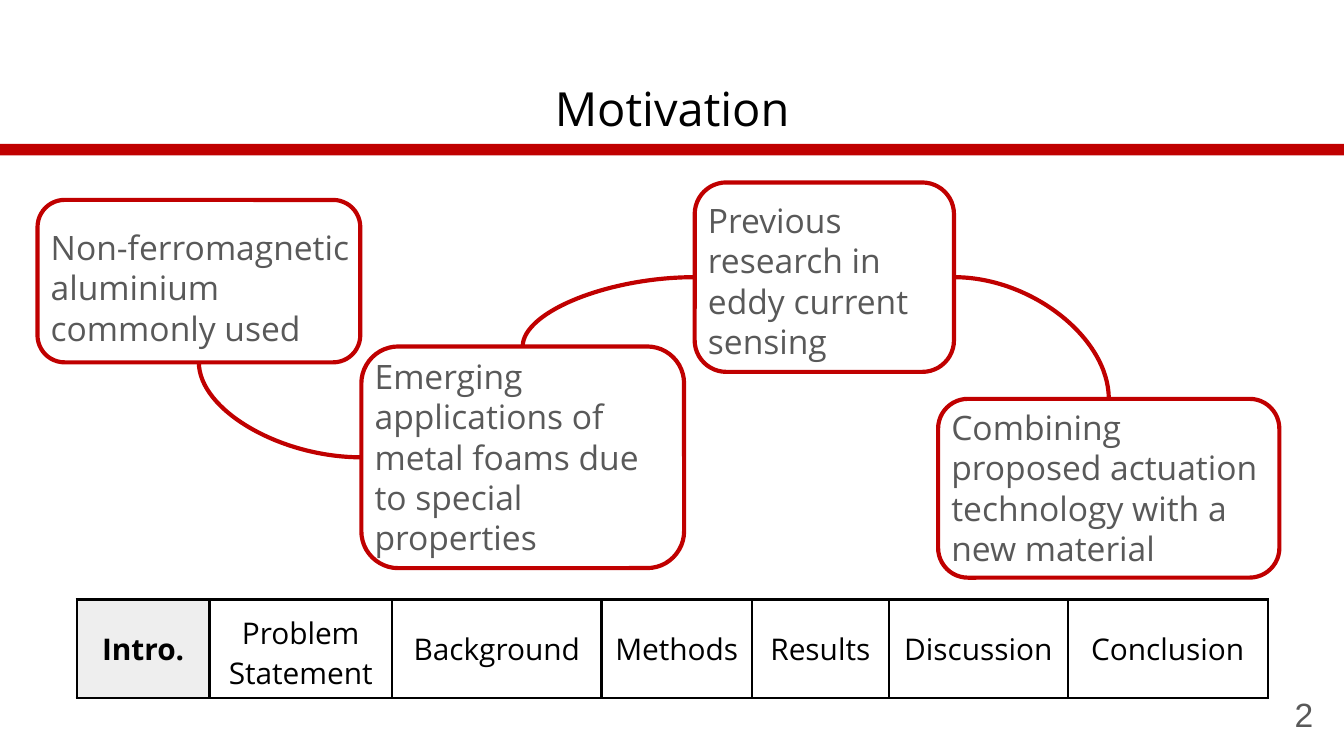
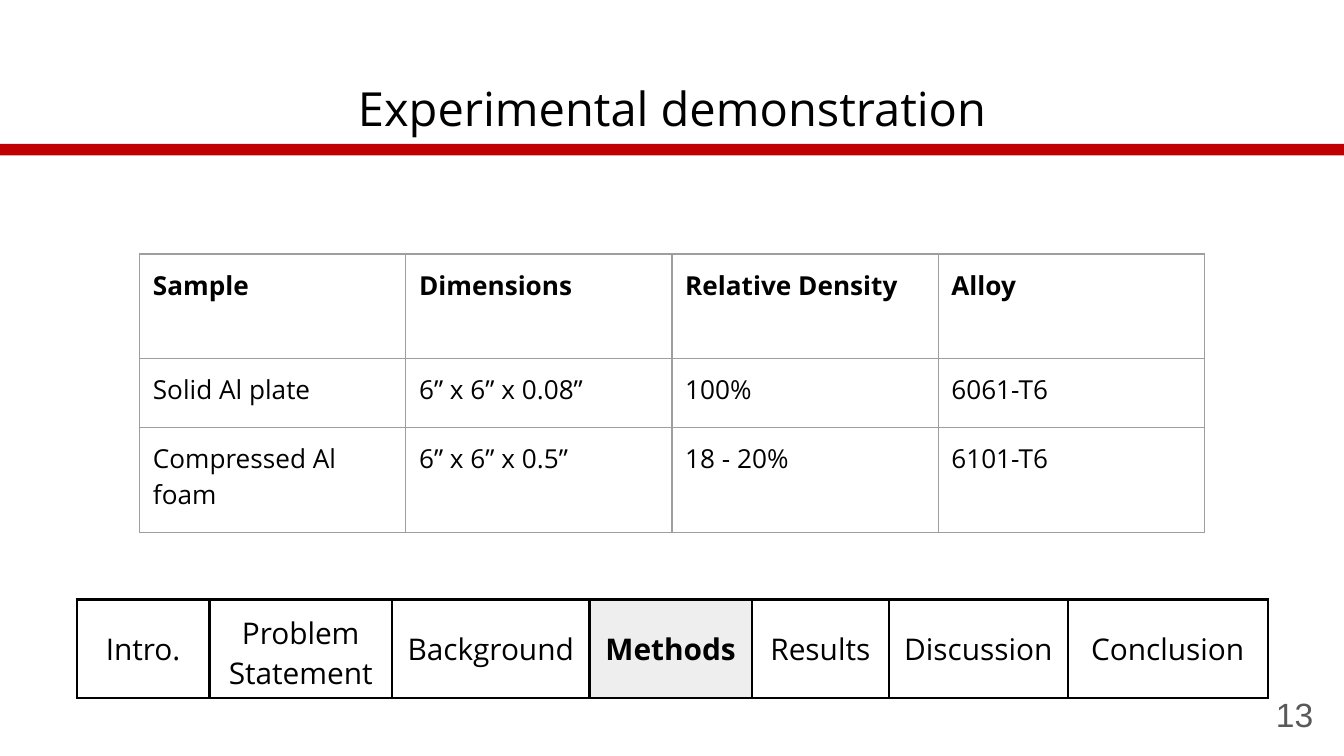
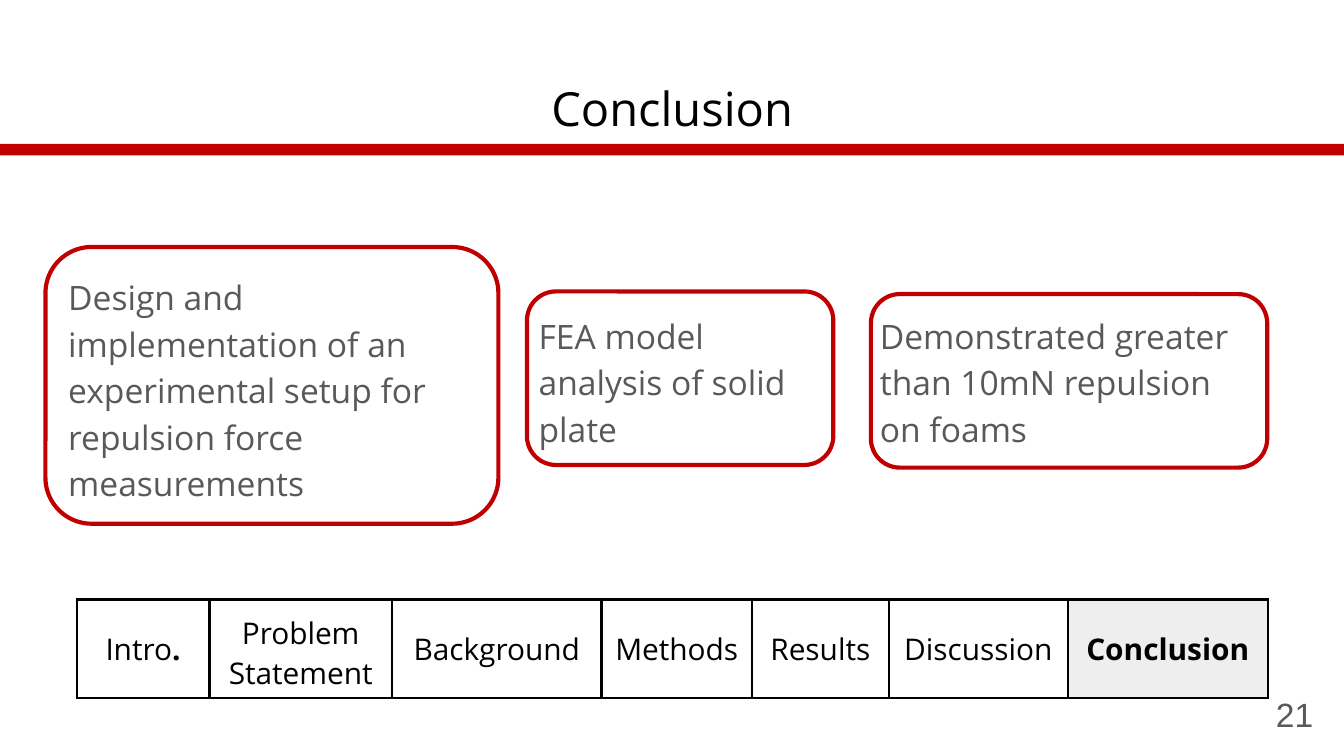
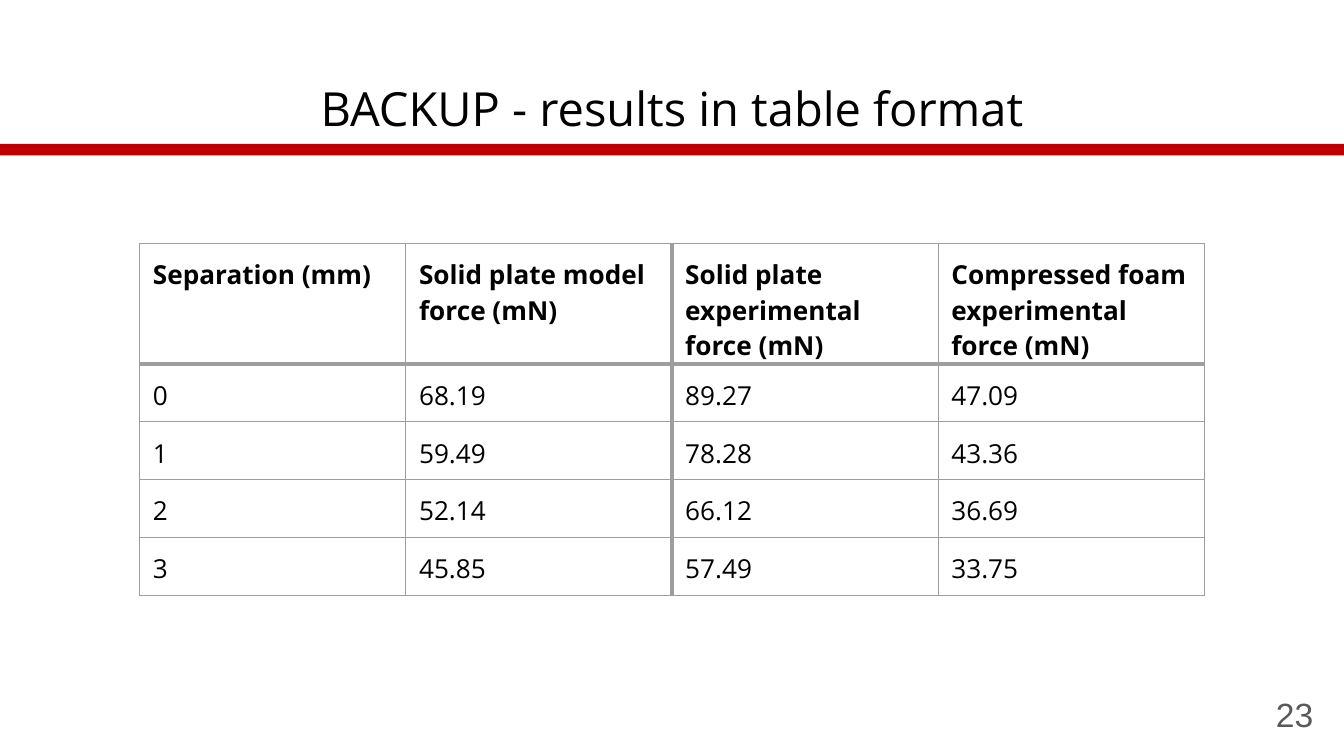
from lxml.etree import SubElement
from pptx import Presentation
from pptx.dml.color import RGBColor
from pptx.enum.shapes import MSO_CONNECTOR, MSO_SHAPE
from pptx.enum.text import MSO_ANCHOR as Anchor, MSO_AUTO_SIZE as AutoSize, PP_ALIGN as Align
from pptx.oxml.ns import qn
from pptx.util import Cm, Pt

RED = RGBColor(0xC0, 0x00, 0x00)
BLACK = RGBColor(0x00, 0x00, 0x00)
GRAY = RGBColor(0x59, 0x59, 0x59)
RULE_GRAY = RGBColor(0x9E, 0x9E, 0x9E)
HIGHLIGHT = RGBColor(0xEE, 0xEE, 0xEE)
BODY_FONT = "Open Sans"
NUMBER_FONT = "Arial"
BOLD_MARK = "**"
INSET = Cm(0.25)

SLIDE_SIZE = (25.4, 14.29)
TITLE_BOX = (0.87, 1.24, 23.67, 1.6)
NUMBER_BOX = (23.55, 12.95, 1.52, 1.09)
BAND_BOX = (0, 2.72, 25.4, 0.22)

SECTIONS = ["Intro.", "Problem Statement", "Background", "Methods", "Results", "Discussion", "Conclusion"]
SECTION_WIDTHS = [2.51, 3.45, 3.96, 2.84, 2.59, 3.38, 3.78]
METHODS_WIDTHS = [2.51, 3.45, 3.73, 3.07, 2.59, 3.38, 3.78]
NAVIGATION_BOX = (1.45, 11.33, 22.51, 1.86)

MOTIVATION_CARDS = [
    ("Non-ferromagnetic aluminium commonly used", (0.71, 4.04, 6.68, 2.82), (0.71, 3.78, 6.1, 3.07)),
    ("Emerging applications of metal foams due to special properties",
     (6.83, 6.48, 6.1, 4.37), (6.83, 6.55, 6.1, 4.19)),
    ("Previous research in eddy current sensing", (13.13, 3.53, 5.18, 3.58), (13.13, 3.45, 4.9, 3.58)),
    ("Combining proposed actuation technology with a new material",
     (17.73, 7.44, 6.45, 3.58), (17.73, 7.54, 6.45, 3.38)),
]
TOP, LEFT, BOTTOM, RIGHT = range(4)
MOTIVATION_LINKS = [(1, LEFT, 0, BOTTOM), (2, LEFT, 1, TOP), (2, RIGHT, 3, TOP)]

CONCLUSION_CARDS = [
    ("Design and implementation of an experimental setup for repulsion force measurements",
     (1.04, 4.88, 8.43, 4.83), (0.86, 4.67, 8.56, 5.23)),
    ("FEA model analysis of solid plate", (9.93, 5.61, 5.51, 3.05), (9.96, 5.51, 5.79, 3.28)),
    ("Demonstrated greater than 10mN repulsion on foams",
     (16.38, 5.61, 7.57, 3.05), (16.46, 5.56, 7.49, 3.28)),
]

SAMPLES = [
    ["Sample", "Dimensions", "Relative Density", "Alloy"],
    ["Solid Al plate", "6” x 6” x 0.08”", "100%", "6061-T6"],
    ["Compressed Al foam", "6” x 6” x 0.5”", "18 - 20%", "6101-T6"],
]
SAMPLES_BOX = (2.64, 4.8, 20.12, 5.24)
SAMPLES_HEIGHTS = [1.98, 1.3, 1.98]

FORCES = [
    ["Separation (mm)", "Solid plate model force (mN)",
     "Solid plate experimental force (mN)", "Compressed foam experimental force (mN)"],
    ["0", "68.19", "89.27", "47.09"],
    ["1", "59.49", "78.28", "43.36"],
    ["2", "52.14", "66.12", "36.69"],
    ["3", "45.85", "57.49", "33.75"],
]
FORCES_BOX = (2.64, 4.6, 20.12, 6.68)
FORCES_HEIGHTS = [1.07] * len(FORCES)


def lengths(box):
    return [Cm(value) for value in box]


def bold(text):
    return BOLD_MARK + text + BOLD_MARK


def write(text_frame, text, size, color=BLACK, font=BODY_FONT, align=Align.LEFT):
    paragraph = text_frame.paragraphs[0]
    paragraph.alignment = align
    for index, part in enumerate(text.split(BOLD_MARK)):
        if part:
            run = paragraph.add_run()
            run.text = part
            run.font.size = Pt(size)
            run.font.name = font
            run.font.color.rgb = color
            run.font.bold = index % 2 == 1
    return paragraph


def add_text(slide, box, text, size, anchor=Anchor.TOP, **style):
    text_frame = slide.shapes.add_textbox(*lengths(box)).text_frame
    text_frame.word_wrap = True
    text_frame.vertical_anchor = anchor
    text_frame.margin_left = text_frame.margin_right = INSET
    text_frame.margin_top = text_frame.margin_bottom = INSET
    return text_frame, write(text_frame, text, size, **style)


def add_slide(presentation, title, number):
    slide = presentation.slides.add_slide(presentation.slide_layouts[6])
    add_text(slide, TITLE_BOX, title, 25.2, Anchor.MIDDLE, align=Align.CENTER)
    add_text(slide, NUMBER_BOX, str(number), 18, Anchor.MIDDLE,
             color=GRAY, font=NUMBER_FONT, align=Align.RIGHT)
    band = slide.shapes.add_shape(MSO_SHAPE.RECTANGLE, *lengths(BAND_BOX))
    band.shadow.inherit = False
    band.fill.solid()
    band.fill.fore_color.rgb = RED
    band.line.fill.background()
    return slide


def set_borders(cell, color, widths):
    properties = cell._tc.get_or_add_tcPr()
    for index, (side, width) in enumerate(zip("LRTB", widths)):
        line = SubElement(properties, qn(f"a:ln{side}"), w=str(Pt(width)))
        fill = SubElement(line, qn("a:solidFill"))
        SubElement(fill, qn("a:srgbClr"), val=str(color))
        properties.insert(index, line)


def add_table(slide, box, rows, widths, heights, size, color, border_widths,
              align=Align.LEFT, anchor=Anchor.TOP):
    frame = slide.shapes.add_table(len(rows), len(widths), *lengths(box))
    table = frame.table
    table.first_row = table.horz_banding = False
    for column, width in zip(table.columns, widths):
        column.width = Cm(width)
    for row, height in zip(table.rows, heights):
        row.height = Cm(height)
    frame.height = Cm(box[3])
    for row_index, texts in enumerate(rows):
        for column_index, text in enumerate(texts):
            cell = table.cell(row_index, column_index)
            cell.margin_left = cell.margin_right = INSET
            cell.margin_top = cell.margin_bottom = INSET
            cell.vertical_anchor = anchor
            cell.fill.background()
            write(cell.text_frame, text, size, align=align)
            set_borders(cell, color, border_widths(row_index, column_index))
    return table


def add_navigation(slide, current, widths=SECTION_WIDTHS, labels=SECTIONS):
    texts = [bold(label) if label == current else label for label in labels]
    table = add_table(slide, NAVIGATION_BOX, [texts], widths, [NAVIGATION_BOX[3]], 16, BLACK,
                      lambda row, column: [1.5] * 4, Align.CENTER, Anchor.MIDDLE)
    fill = table.cell(0, labels.index(current)).fill
    fill.solid()
    fill.fore_color.rgb = HIGHLIGHT


def add_data_table(slide, box, rows, heights, border_widths):
    widths = [box[2] / len(rows[0])] * len(rows[0])
    texts = [[bold(text) for text in rows[0]]] + rows[1:]
    add_table(slide, box, texts, widths, heights, 14, RULE_GRAY, border_widths)


def thin_borders(row, column):
    return [0.75] * 4


def force_borders(row, column):
    thick_sides = (column == 2, column == 1, row == 1, row == 0)
    return [2.25 if thick else 0.75 for thick in thick_sides]


def style_line(line):
    line.color.rgb = RED
    line.width = Pt(2.25)


def add_cards(slide, cards, line_spacing=None, space_after=None):
    for text, text_box, _ in cards:
        text_frame, paragraph = add_text(slide, text_box, text, 18, color=GRAY)
        text_frame.auto_size = AutoSize.SHAPE_TO_FIT_TEXT
        paragraph.line_spacing = line_spacing
        paragraph.space_after = space_after
    outlines = []
    for _, _, outline_box in cards:
        outline = slide.shapes.add_shape(MSO_SHAPE.ROUNDED_RECTANGLE, *lengths(outline_box))
        outline.shadow.inherit = False
        outline.fill.background()
        style_line(outline.line)
        outlines.append(outline)
    return outlines


def add_links(slide, outlines, links):
    for start, start_side, end, end_side in links:
        connector = slide.shapes.add_connector(MSO_CONNECTOR.CURVE, 0, 0, 0, 0)
        connector.begin_connect(outlines[start], start_side)
        connector.end_connect(outlines[end], end_side)
        style_line(connector.line)
        properties = connector._element.spPr
        properties.find(qn("a:prstGeom")).set("prst", "curvedConnector2")
        SubElement(properties, qn("a:effectLst"))


def main():
    presentation = Presentation()
    presentation.slide_width, presentation.slide_height = lengths(SLIDE_SIZE)

    slide = add_slide(presentation, "Motivation", 2)
    add_navigation(slide, "Intro.")
    outlines = add_cards(slide, MOTIVATION_CARDS)
    add_links(slide, outlines, MOTIVATION_LINKS)

    slide = add_slide(presentation, "Experimental demonstration", 13)
    add_navigation(slide, "Methods", METHODS_WIDTHS)
    add_data_table(slide, SAMPLES_BOX, SAMPLES, SAMPLES_HEIGHTS, thin_borders)

    slide = add_slide(presentation, "Conclusion", 21)
    add_navigation(slide, "Conclusion", labels=["Intro" + bold(".")] + SECTIONS[1:])
    add_cards(slide, CONCLUSION_CARDS, 1.15, Pt(12))

    slide = add_slide(presentation, "BACKUP - results in table format", 23)
    add_data_table(slide, FORCES_BOX, FORCES, FORCES_HEIGHTS, force_borders)

    presentation.save("out.pptx")


if __name__ == "__main__":
    main()
